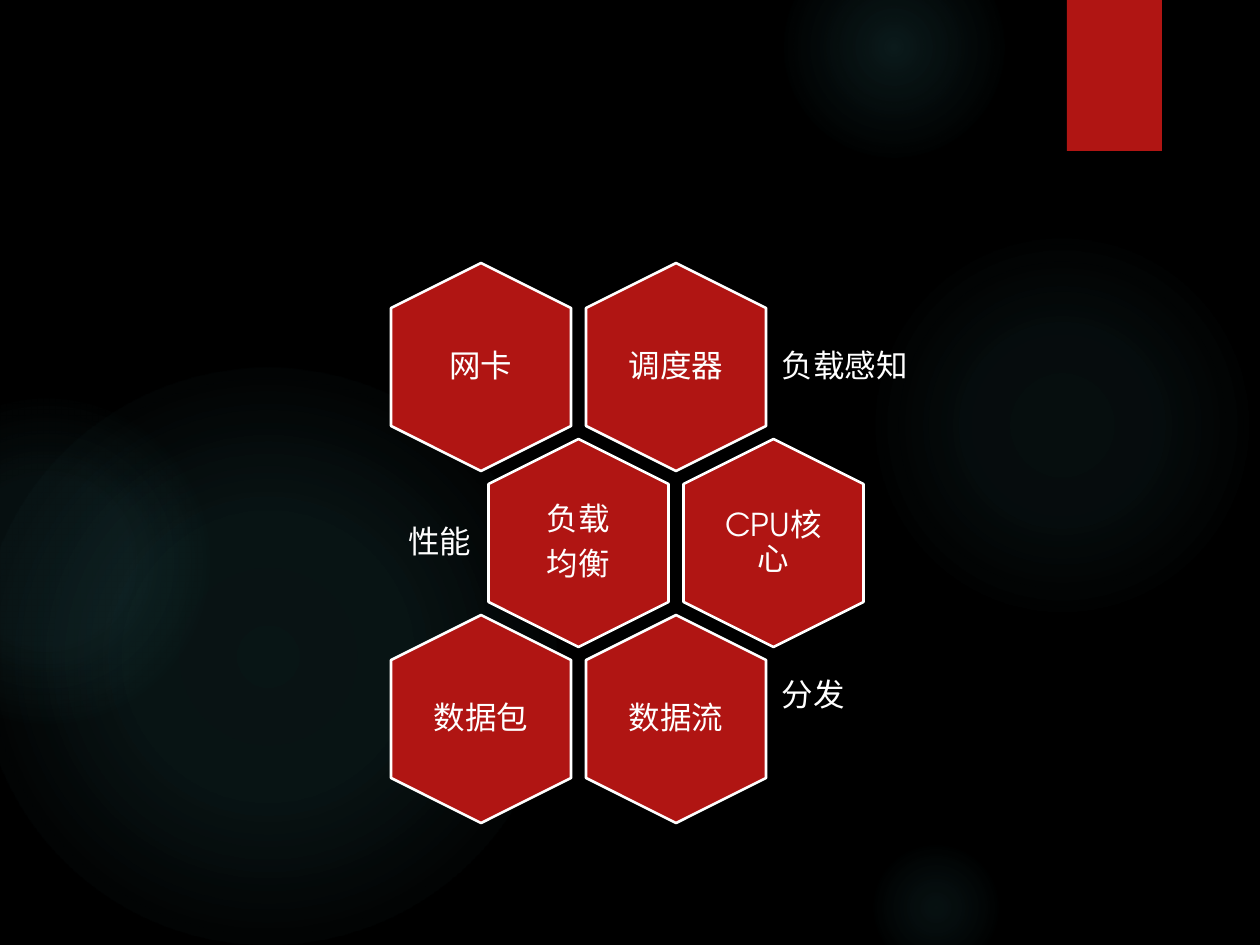
from pptx import Presentation
from pptx.dml.color import RGBColor
from pptx.enum.shapes import MSO_SHAPE
from pptx.enum.text import MSO_ANCHOR, PP_ALIGN
from pptx.oxml import parse_xml
from pptx.oxml.ns import nsdecls
from pptx.util import Emu, Pt

PX = 914400 / 126
COLORS = {"background": "000000", "glow": "50B9C1", "red": "B01513", "white": "FFFFFF"}
FONT = "TeX Gyre Adventor"


def add_block(kind, left, top, width, height, color):
    block = slide.shapes.add_shape(
        kind, *(Emu(round(v * PX)) for v in (left, top, width, height)))
    block.shadow.inherit = False
    block.fill.solid()
    block.fill.fore_color.rgb = RGBColor.from_string(COLORS[color])
    block.line.fill.background()
    return block


def add_label(text, left, top, width, height, align, inset):
    box = slide.shapes.add_textbox(
        *(Emu(round(v * PX)) for v in (left, top, width, height)))
    frame = box.text_frame
    frame.word_wrap = True
    frame.vertical_anchor = MSO_ANCHOR.MIDDLE
    frame.margin_left = frame.margin_right = Emu(round(inset * PX))
    frame.margin_top = frame.margin_bottom = Emu(round(inset * PX))
    frame.text = text
    for paragraph in frame.paragraphs:
        paragraph.alignment = align
        paragraph.line_spacing = 0.9
        paragraph.space_after = Pt(6.3)
        for run in paragraph.runs:
            run.font.name = FONT
            run.font.size = Pt(18)
            run.font.color.rgb = RGBColor.from_string(COLORS["white"])


prs = Presentation()
prs.slide_width = Emu(round(1260 * PX))
prs.slide_height = Emu(round(945 * PX))
slide = prs.slides.add_slide(prs.slide_layouts[6])
slide.background.fill.solid()
slide.background.fill.fore_color.rgb = RGBColor.from_string(COLORS["background"])

# Background glows: left, top, diameter, inner and middle opacity, fade-out stop (%)
glows = [
    (868, 231, 388, 7, 6, 69),
    (784, -63, 220, 14, 7, 73),
    (868, 840, 136, 9, 5, 66),
    (-21, 368, 577, 11, 10, 75),
    (-116, 399, 325, 8, 8, 72),
]
for left, top, diameter, inner, middle, fade in glows:
    glow = add_block(MSO_SHAPE.OVAL, left, top, diameter, diameter, "glow")
    stops = "".join(
        f'<a:gs pos="{stop * 1000}"><a:srgbClr val="{COLORS["glow"]}">'
        f'<a:alpha val="{opacity * 1000}"/></a:srgbClr></a:gs>'
        for stop, opacity in ((0, inner), (36, middle), (fade, 0)))
    gradient = parse_xml(
        f'<a:gradFill {nsdecls("a")}><a:gsLst>{stops}</a:gsLst><a:path path="circle">'
        '<a:fillToRect l="50000" t="50000" r="50000" b="50000"/></a:path></a:gradFill>')
    properties = glow.fill._xPr
    properties.replace(properties.solidFill, gradient)

# Corner tab
add_block(MSO_SHAPE.RECTANGLE, 1067, 0, 95, 151, "red")

# Honeycomb: column, row, text, text inset; the middle row moves half a step right
HEX_W, HEX_H = 208, 180
STEP_X, STEP_Y = 195, 176
FIRST_X, FIRST_Y = 481, 367
TEXT_W, TEXT_H = 125, 142
cells = [
    (1, 0, "调度器", 9), (0, 0, "网卡", 0),
    (0, 1, "负载\n均衡", 9), (1, 1, "CPU核心", 0),
    (1, 2, "数据流", 9), (0, 2, "数据包", 0),
]
for column, row, text, inset in cells:
    x = FIRST_X + (column + row % 2 / 2) * STEP_X
    y = FIRST_Y + row * STEP_Y
    cell = add_block(MSO_SHAPE.HEXAGON, x - HEX_W / 2, y - HEX_H / 2, HEX_W, HEX_H, "red")
    cell.rotation = 90
    cell.adjustments[0] = 0.25
    cell.adjustments[1] = 1.1547
    cell.line.color.rgb = RGBColor.from_string(COLORS["white"])
    cell.line.width = Pt(1.5)
    add_label(text, x - TEXT_W / 2, y - TEXT_H / 2, TEXT_W, TEXT_H, PP_ALIGN.CENTER, inset)

# Side notes
notes = [
    ("负载感知", 773, 305, 232, PP_ALIGN.LEFT),
    ("性能", 256, 481, 224, PP_ALIGN.RIGHT),
    ("分发", 773, 634, 232, PP_ALIGN.LEFT),
]
for text, left, top, width, align in notes:
    add_label(text, left, top, width, 125, align, 9)

prs.save("out.pptx")
